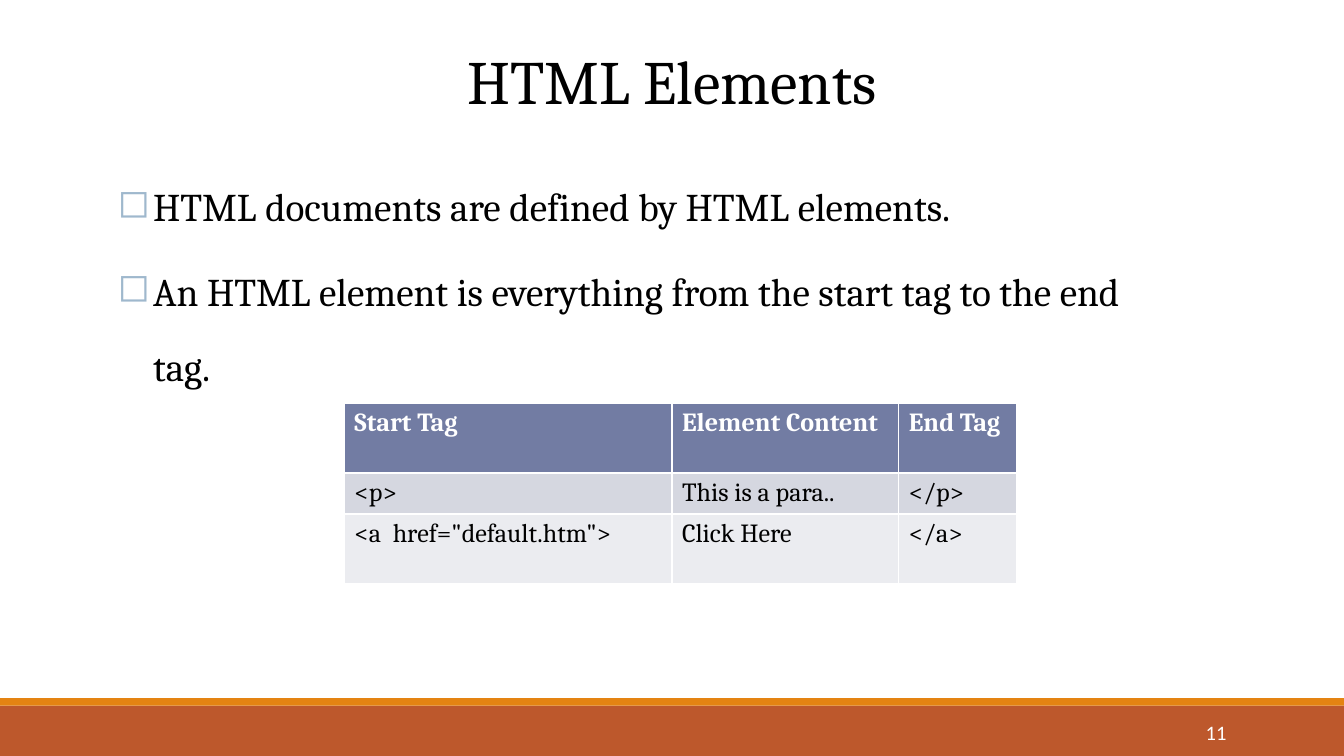
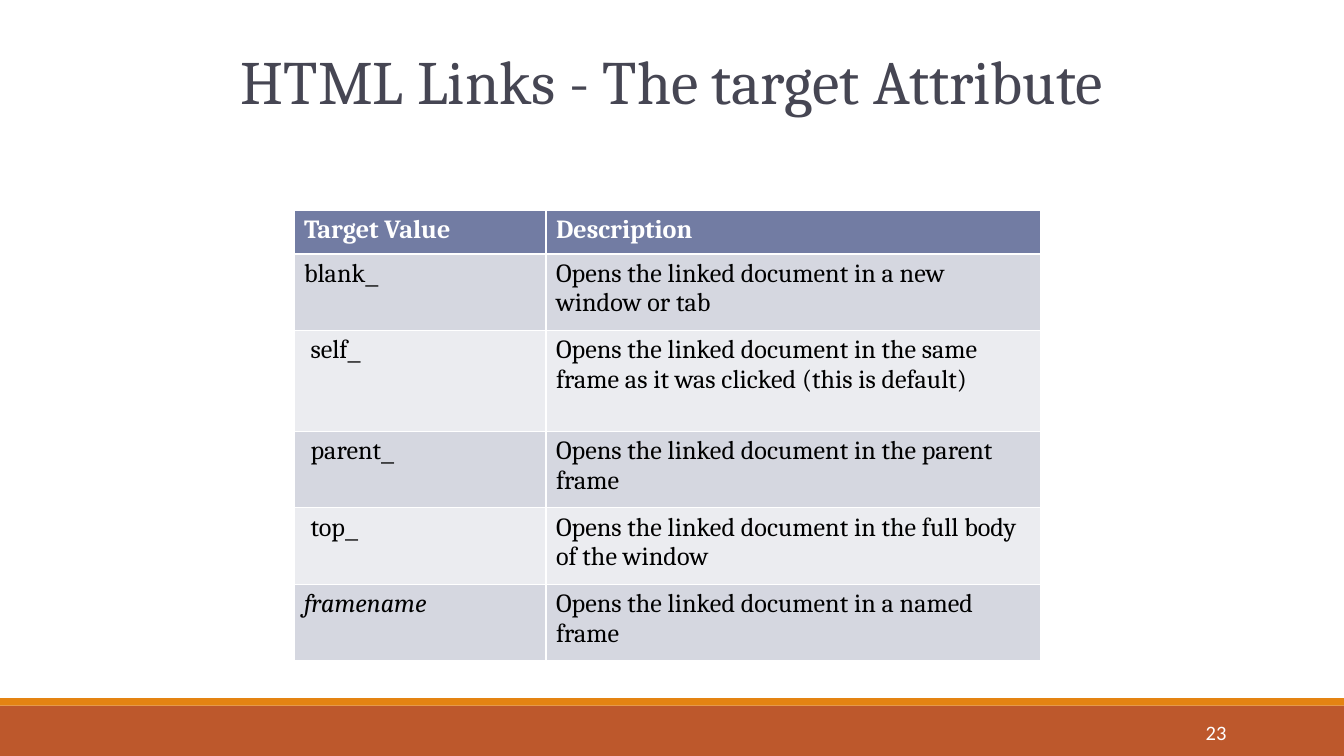
from lxml.etree import SubElement
from pptx import Presentation
from pptx.dml.color import RGBColor
from pptx.enum.shapes import MSO_SHAPE
from pptx.enum.text import MSO_ANCHOR, PP_ALIGN
from pptx.oxml import parse_xml
from pptx.oxml.ns import nsdecls, qn
from pptx.util import Pt

WHITE = RGBColor(0xFF, 0xFF, 0xFF)
BLACK = RGBColor(0x00, 0x00, 0x00)
SLATE = RGBColor(0x46, 0x46, 0x53)
RUST = RGBColor(0xBD, 0x58, 0x2C)
ORANGE = RGBColor(0xE4, 0x83, 0x12)
BULLET_BLUE = RGBColor(0x9F, 0xB8, 0xCD)
HEADER_BLUE = RGBColor(0x72, 0x7C, 0xA3)
ROW_BANDS = (RGBColor(0xEB, 0xEC, 0xF0), RGBColor(0xD5, 0xD7, 0xE0))

SERIF = "Cambria"
SANS = "Calibri"
INSET_X, INSET_Y = 5.4, 2.7
THIN, THICK = 0.75, 1.47

TITLE_BOX = (0, 13.5, 720, 58.5)
BODY_BOX = (57.6, 80, 572.4, 307.5)
NUMBER_BOX = (585, 381.5, 77.5, 21.5)
BAND_BOX = (0, 378, 720, 27)
STRIPE_BOX = (0, 374, 720, 4)


def points(box):
    return [Pt(length) for length in box]


def write_text(paragraph, text, size=14, font=SERIF, color=BLACK, bold=False,
               italic=False, align=PP_ALIGN.LEFT, spacing=None, before=None,
               bullet=None, rtl=False):
    properties = paragraph._p.get_or_add_pPr()
    if bullet:
        properties.set("marL", str(Pt(19)))
        properties.set("indent", str(Pt(-19)))
        tint = SubElement(properties, qn("a:buClr"))
        SubElement(tint, qn("a:srgbClr")).set("val", str(BULLET_BLUE))
        SubElement(properties, qn("a:buChar")).set("char", bullet)
    if rtl:
        properties.set("rtl", "1")
    paragraph.alignment = align
    if spacing:
        paragraph.line_spacing = spacing
    if before:
        paragraph.space_before = Pt(before)
    run = paragraph.add_run()
    run.text = text
    run.font.size = Pt(size)
    run.font.name = font
    run.font.bold = bold
    run.font.italic = italic
    run.font.color.rgb = color


def add_frame(slide, box, anchor=MSO_ANCHOR.MIDDLE):
    frame = slide.shapes.add_textbox(*points(box)).text_frame
    frame.word_wrap = True
    frame.vertical_anchor = anchor
    frame.margin_left = frame.margin_right = Pt(INSET_X)
    frame.margin_top = frame.margin_bottom = Pt(INSET_Y)
    return frame


def add_footer(slide, number):
    for box, color in ((BAND_BOX, RUST), (STRIPE_BOX, ORANGE)):
        bar = slide.shapes.add_shape(MSO_SHAPE.RECTANGLE, *points(box))
        bar.shadow.inherit = False
        bar.fill.solid()
        bar.fill.fore_color.rgb = color
        bar.line.fill.background()
    write_text(add_frame(slide, NUMBER_BOX).paragraphs[0], number, size=11,
               font=SANS, color=WHITE, align=PP_ALIGN.RIGHT)


def add_title(slide, title, color):
    write_text(add_frame(slide, TITLE_BOX).paragraphs[0], title, size=33,
               color=color, align=PP_ALIGN.CENTER)


def add_bullets(slide, box, sentences):
    frame = add_frame(slide, box, MSO_ANCHOR.TOP)
    for index, sentence in enumerate(sentences):
        paragraph = frame.add_paragraph() if index else frame.paragraphs[0]
        write_text(paragraph, sentence, size=21, spacing=1.6,
                   before=5 if index else None, bullet="◻")


def set_borders(cell, top, bottom):
    properties = cell._tc.get_or_add_tcPr()
    widths = {"lnL": THIN, "lnR": THIN, "lnT": top, "lnB": bottom}
    for index, (side, width) in enumerate(widths.items()):
        properties.insert(index, parse_xml(
            f'<a:{side} {nsdecls("a")} w="{Pt(width)}"><a:solidFill>'
            f'<a:srgbClr val="{WHITE}"/></a:solidFill></a:{side}>'))


def add_grid(slide, left, top, widths, heights, rows, rtl=False, italics=()):
    box = points((left, top, sum(widths), sum(heights)))
    table = slide.shapes.add_table(len(rows), len(widths), *box).table
    for column, width in zip(table.columns, widths):
        column.width = Pt(width)
    for row, height in zip(table.rows, heights):
        row.height = Pt(height)
    for row_index, values in enumerate(rows):
        header = row_index == 0
        for column_index, value in enumerate(values):
            cell = table.cell(row_index, column_index)
            cell.margin_left = cell.margin_right = Pt(INSET_X)
            cell.margin_top = cell.margin_bottom = Pt(INSET_Y)
            cell.fill.solid()
            cell.fill.fore_color.rgb = (
                HEADER_BLUE if header else ROW_BANDS[row_index % 2])
            set_borders(cell, THICK if row_index == 1 else THIN,
                        THICK if header else THIN)
            write_text(cell.text_frame.paragraphs[0], value, bold=header,
                       color=WHITE if header else BLACK, spacing=0.98,
                       italic=value in italics, rtl=rtl)


def start_slide(deck, title, number, title_color):
    slide = deck.slides.add_slide(deck.slide_layouts[6])
    add_footer(slide, number)
    add_title(slide, title, title_color)
    return slide


def build_elements_slide(deck):
    slide = start_slide(deck, "HTML Elements", "11", BLACK)
    add_bullets(slide, BODY_BOX, [
        "HTML documents are defined by HTML elements.",
        "An HTML element is everything from the start tag to the end tag.",
    ])
    add_grid(slide, 184.5, 216, (175.5, 121.5, 63), (37.5, 21.5, 37.5), [
        ("Start Tag", "Element Content", "End Tag"),
        ("<p>", "This is a para..", "</p>"),
        ('<a  href="default.htm">', "Click Here", "</a>"),
    ])


def build_target_slide(deck):
    slide = start_slide(deck, "HTML Links - The target Attribute", "23", SLATE)
    opens = "Opens the linked document in "
    add_grid(slide, 157.5, 112.5, (135, 265), (23.5, 41, 54, 41, 41, 41), [
        ("Target Value", "Description"),
        ("_blank", opens + "a new window or tab"),
        ("_self ", opens + "the same frame as it was clicked (this is default)"),
        ("_parent ", opens + "the parent frame"),
        ("_top ", opens + "the full body of the window"),
        ("framename", opens + "a named frame"),
    ], rtl=True, italics=("framename",))


def main():
    deck = Presentation()
    deck.slide_width, deck.slide_height = Pt(720), Pt(405)
    build_elements_slide(deck)
    build_target_slide(deck)
    deck.save("out.pptx")


if __name__ == "__main__":
    main()
